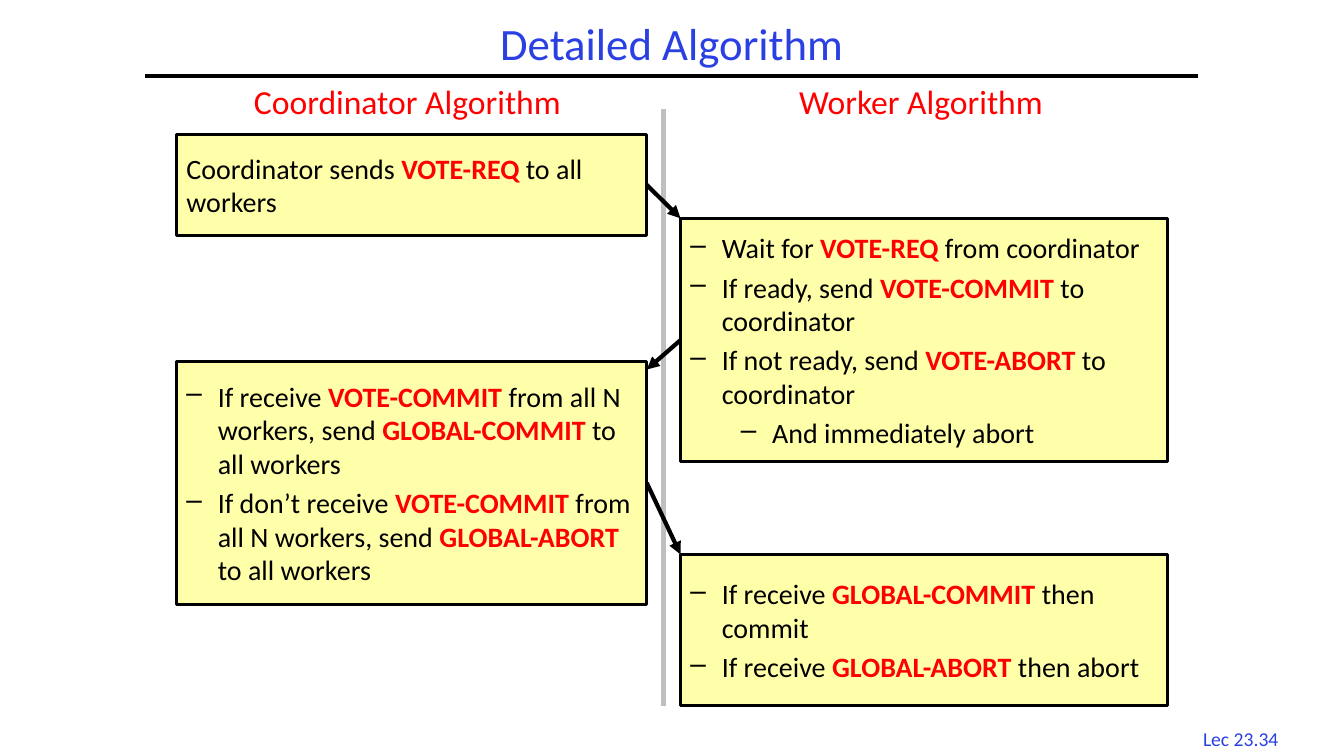
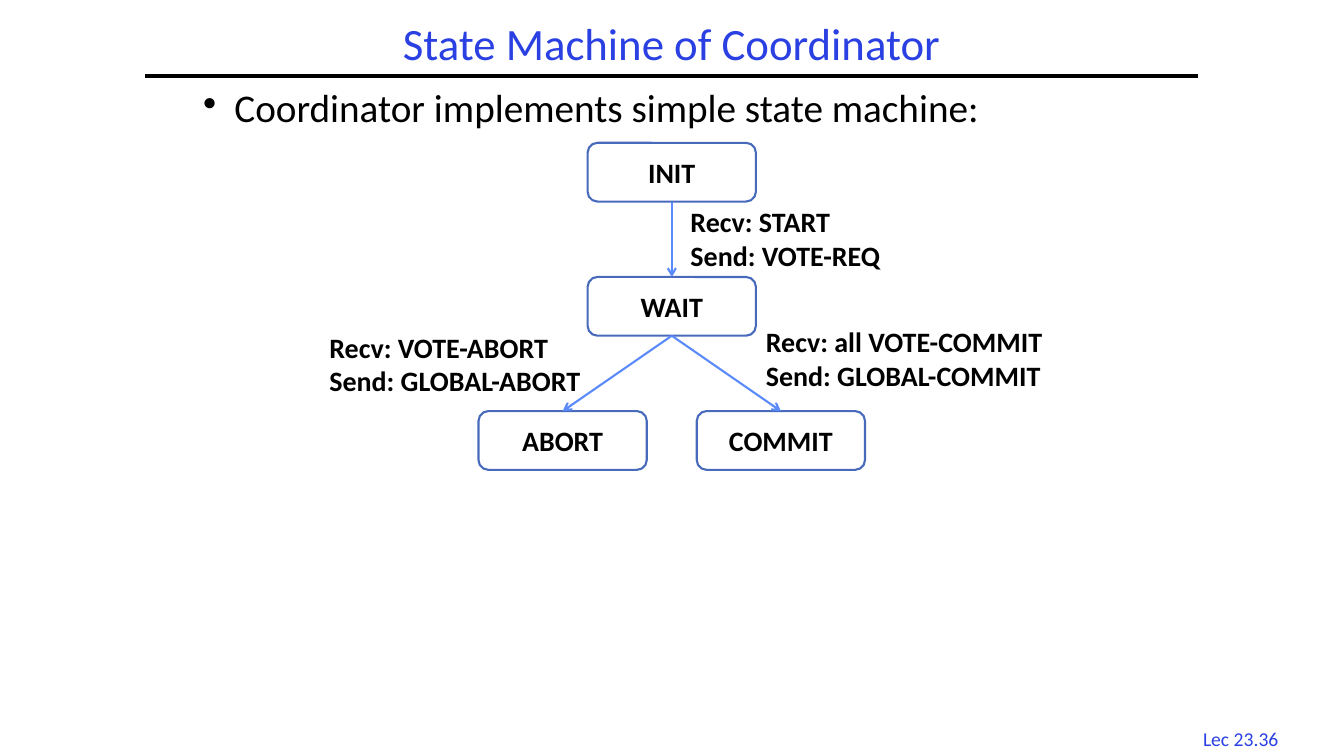
from lxml import etree
from pptx import Presentation
from pptx.dml.color import RGBColor
from pptx.enum.shapes import MSO_CONNECTOR, MSO_SHAPE
from pptx.enum.text import MSO_ANCHOR, PP_ALIGN
from pptx.oxml.ns import qn
from pptx.util import Cm, Pt

STRAIGHT = MSO_CONNECTOR.STRAIGHT
RECTANGLE, ROUNDED = MSO_SHAPE.RECTANGLE, MSO_SHAPE.ROUNDED_RECTANGLE
LEFT, CENTER = PP_ALIGN.LEFT, PP_ALIGN.CENTER
TOP, MIDDLE = MSO_ANCHOR.TOP, MSO_ANCHOR.MIDDLE

FONT = "Calibri"
BLACK = RGBColor(0x00, 0x00, 0x00)
RED = RGBColor(0xFF, 0x00, 0x00)
TITLE_BLUE = RGBColor(0x2A, 0x40, 0xE2)
PALE_YELLOW = RGBColor(0xFF, 0xFF, 0xAA)
GRAY = RGBColor(0xBF, 0xBF, 0xBF)
STATE_BLUE = RGBColor(0x48, 0x6A, 0xBB)
ARROW_BLUE = RGBColor(0x5B, 0x8A, 0xFB)

HANG = 0.79
NESTED = 2.06

COLUMNS = {
    "coordinator": (4.45, 11.85),
    "worker": (17.15, 12.28),
}
HEADINGS = [
    ("Coordinator Algorithm", 6.15, 8.79),
    ("Worker Algorithm", 19.89, 7.06),
]
STEPS = [
    ("coordinator", 3.39, 2.54, [
        ("Coordinator sends *VOTE-REQ *to all workers", None),
    ]),
    ("worker", 5.5, 6.14, [
        ("Wait for *VOTE-REQ *from coordinator", HANG),
        ("If ready, send *VOTE-COMMIT *to coordinator", HANG),
        ("If not ready, send *VOTE-ABORT *to coordinator", HANG),
        ("And immediately abort", NESTED),
    ]),
    ("coordinator", 9.1, 6.14, [
        ("If receive *VOTE-COMMIT *from all N workers, send *GLOBAL-COMMIT* to all workers", HANG),
        ("If don’t receive *VOTE-COMMIT *from all N workers, send *GLOBAL-ABORT *to all workers", HANG),
    ]),
    ("worker", 13.97, 3.81, [
        ("If receive *GLOBAL-COMMIT *then commit", HANG),
        ("If receive *GLOBAL-ABORT *then abort", HANG),
    ]),
]
ARROW_DROPS = [0, 0.21, 0]

STATE_WIDTH, STATE_HEIGHT = 4.24, 1.48
STATE_CENTER, STATE_SPREAD = 16.93, 2.75
STATE_TOP, STATE_STEP = 3.6, 3.38
STATES = {
    "INIT": (0, 0),
    "WAIT": (0, 1),
    "ABORT": (-1, 2),
    "COMMIT": (1, 2),
}
TRANSITIONS = [
    ("INIT", "WAIT", ["Recv: START", "Send: VOTE-REQ"], (17.15, 5.03, 6.35)),
    ("WAIT", "ABORT", ["Recv: VOTE-ABORT", "Send: GLOBAL-ABORT"], (8.05, 8.2, 8.05)),
    ("WAIT", "COMMIT", ["Recv: all VOTE-COMMIT", "Send: GLOBAL-COMMIT"], (19.05, 8.05, 8.05)),
]


def style_font(font, size, color, bold=False):
    font.name = FONT
    font.size = Pt(size)
    font.color.rgb = color
    font.bold = bold


def add_bullet(para, char, margin):
    properties = para._p.get_or_add_pPr()
    properties.set("marL", str(Cm(margin)))
    properties.set("indent", str(-Cm(HANG)))
    etree.SubElement(properties, qn("a:buChar")).set("char", char)


def fill_text(shape, lines, size, color=BLACK, bold=False, align=LEFT, anchor=TOP):
    frame = shape.text_frame
    frame.word_wrap = True
    frame.vertical_anchor = anchor
    frame.text = "\n".join(lines)
    for para in frame.paragraphs:
        para.alignment = align
        for span in para.runs:
            style_font(span.font, size, color, bold)
    return frame


def add_text(page, lines, left, top, width, height, size, **style):
    box = page.shapes.add_textbox(Cm(left), Cm(top), Cm(width), Cm(height))
    return fill_text(box, lines, size, **style)


def add_box(page, preset, left, top, width, height, line_color, line_width):
    box = page.shapes.add_shape(preset, Cm(left), Cm(top), Cm(width), Cm(height))
    box.shadow.inherit = False
    box.line.color.rgb = line_color
    box.line.width = Pt(line_width)
    return box


def add_line(page, start, end, color, width, arrow=None):
    line = page.shapes.add_connector(STRAIGHT, *(Cm(value) for value in (*start, *end)))
    line.line.color.rgb = color
    line.line.width = Pt(width)
    if arrow:
        etree.SubElement(line.line._get_or_add_ln(), qn("a:tailEnd")).set("type", arrow)
    etree.SubElement(line._element.spPr, qn("a:effectLst"))
    return line


def add_page(deck, title, footer):
    page = deck.slides.add_slide(deck.slide_layouts[6])
    add_text(page, [footer], 29.9, 18.19, 2.74, 0.84, 14, color=TITLE_BLUE, align=CENTER)
    add_line(page, (3.66, 1.91), (30.2, 1.91), BLACK, 3)
    frame = add_text(page, [title], 3.66, 0.43, 26.54, 1.48, 32,
                     color=TITLE_BLUE, align=CENTER, anchor=MIDDLE)
    frame.paragraphs[0].line_spacing = 0.9
    return page


def add_step(page, column, top, height, lines):
    left, width = COLUMNS[column]
    box = add_box(page, RECTANGLE, left, top, width, height, BLACK, 2)
    box.fill.solid()
    box.fill.fore_color.rgb = PALE_YELLOW
    frame = box.text_frame
    frame.word_wrap = True
    frame.vertical_anchor = MIDDLE
    for index, (text, margin) in enumerate(lines):
        para = frame.add_paragraph() if index else frame.paragraphs[0]
        para.alignment = LEFT
        if margin:
            add_bullet(para, "–", margin)
        if index:
            para.space_before = Pt(4)
        for part, words in enumerate(text.split("*")):
            message = part % 2 == 1
            span = para.add_run()
            span.text = words
            style_font(span.font, 20, RED if message else BLACK, message)


def build_algorithm(deck):
    page = add_page(deck, "Detailed Algorithm", "Lec 23.34")
    add_line(page, (16.72, 2.75), (16.72, 17.78), GRAY, 3)
    for step in STEPS:
        add_step(page, *step)
    for heading, left, width in HEADINGS:
        add_text(page, [heading], left, 1.91, width, 1.27, 24, color=RED)
    coordinator_left, coordinator_width = COLUMNS["coordinator"]
    edges = {
        "coordinator": coordinator_left + coordinator_width,
        "worker": COLUMNS["worker"][0],
    }
    for source, target, drop in zip(STEPS, STEPS[1:], ARROW_DROPS):
        start = (edges[source[0]], source[1] + source[2] / 2)
        end = (edges[target[0]], target[1] + drop)
        add_line(page, start, end, BLACK, 3, "triangle")


def build_state_machine(deck):
    page = add_page(deck, "State Machine of Coordinator", "Lec 23.36")
    frame = add_text(page, ["Coordinator implements simple state machine:"],
                     4.87, 2.12, 22.86, 12.57, 28)
    para = frame.paragraphs[0]
    add_bullet(para, "•", HANG)
    para.line_spacing = 0.9

    boxes = {}
    for name, (side, level) in STATES.items():
        left = STATE_CENTER + side * STATE_SPREAD - STATE_WIDTH / 2
        top = STATE_TOP + level * STATE_STEP
        box = add_box(page, ROUNDED, left, top, STATE_WIDTH, STATE_HEIGHT, STATE_BLUE, 1.5)
        box.fill.background()
        frame = fill_text(box, [name], 20, bold=True, align=CENTER, anchor=MIDDLE)
        frame.margin_left = frame.margin_right = frame.margin_top = frame.margin_bottom = 0
        boxes[name] = box

    for source, target, label, (left, top, width) in TRANSITIONS:
        arrow = add_line(page, (0, 0), (0, 0), ARROW_BLUE, 1.5, "arrow")
        arrow.begin_connect(boxes[source], 2)
        arrow.end_connect(boxes[target], 0)
        add_text(page, label, left, top, width, 1.96, 20, bold=True)


def main():
    deck = Presentation()
    deck.slide_width = Cm(33.87)
    deck.slide_height = Cm(19.05)
    build_algorithm(deck)
    build_state_machine(deck)
    deck.save("out.pptx")


if __name__ == "__main__":
    main()
